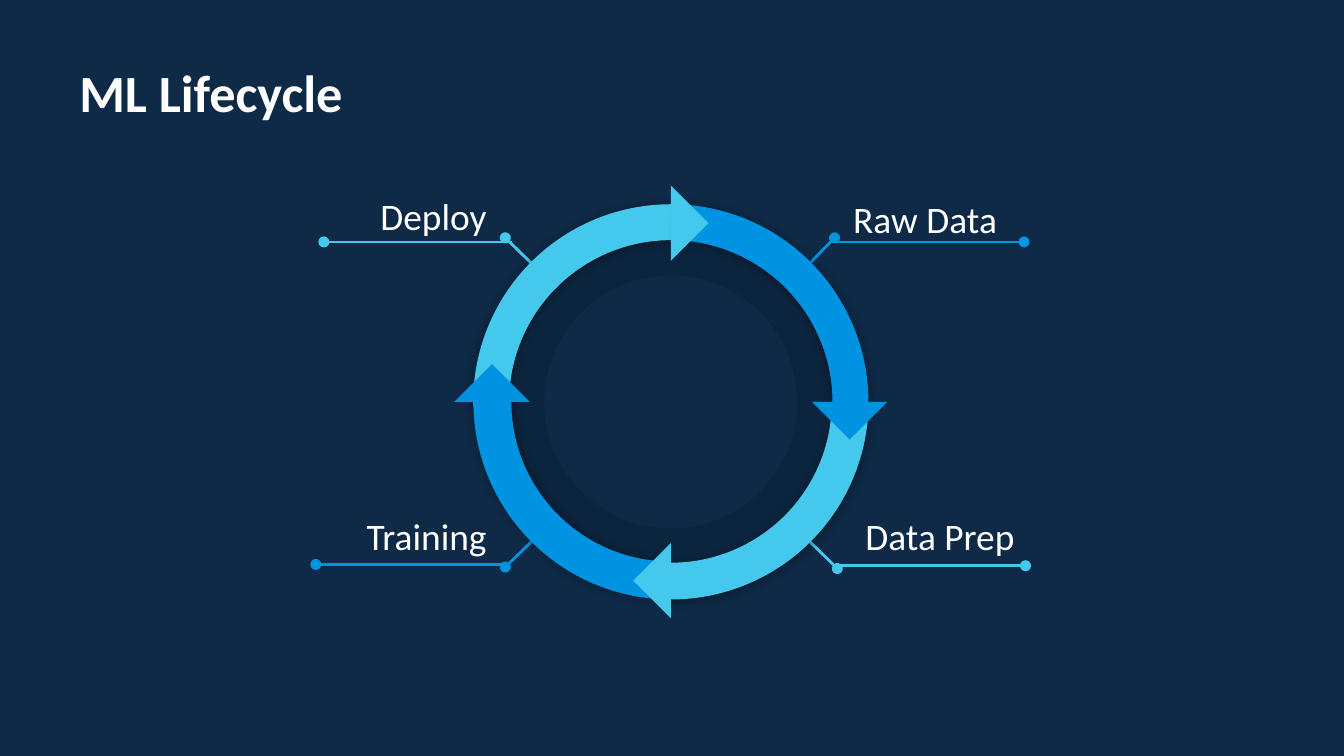
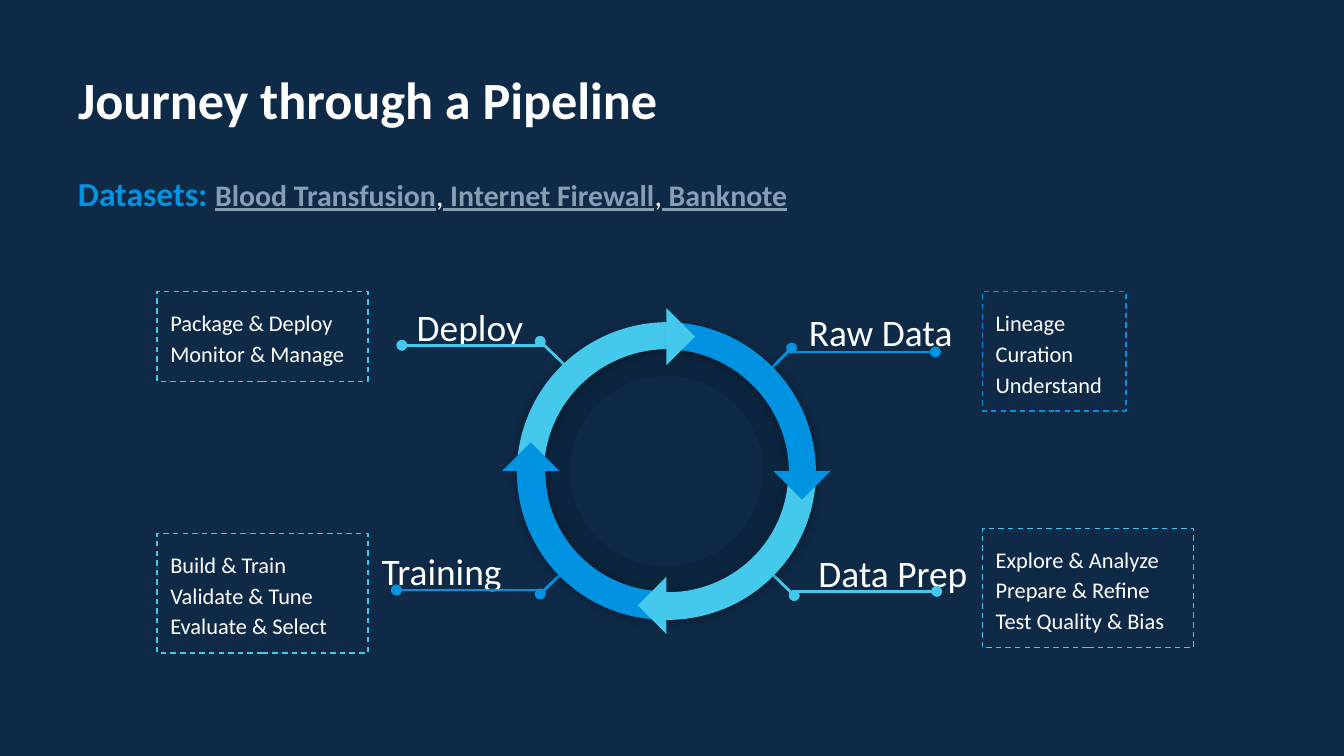
from collections import namedtuple

from lxml import etree
from pptx import Presentation
from pptx.dml.color import RGBColor
from pptx.enum import dml, shapes, text
from pptx.oxml import ns
from pptx.util import Pt

NAVY = RGBColor(0x0E, 0x2A, 0x47)
WHITE = RGBColor(0xFF, 0xFF, 0xFF)
BLACK = RGBColor(0x00, 0x00, 0x00)
CYAN = RGBColor(0x44, 0xC8, 0xEB)
BLUE = RGBColor(0x00, 0x93, 0xE1)
GREY = RGBColor(0x86, 0x9F, 0xB2)

LEFT, RIGHT = text.PP_ALIGN.LEFT, text.PP_ALIGN.RIGHT
INSET = 7.2

STAGE_COLORS = {"Deploy": CYAN, "Training": BLUE, "Data Prep": CYAN, "Raw Data": BLUE}

# rotation, mirrored, start, end and thickness adjustments, shadow direction
# (start and end: 0.6 per degree)
ARCS = {
    "Deploy": (330, True, 143.49, 198.72, 0.091, 90),
    "Raw Data": (30, False, 145.46, 199.02, 0.091, 90),
    "Training": (150, False, 180.42, 17.99, 0.096, 0),
    "Data Prep": (210, True, 179.67, 15.3, 0.093, 90),
}

# rotation, then direction from the centre of the cycle
ARROWHEADS = {
    "Training": (135, -1, 0),
    "Raw Data": (315, 1, 0),
    "Data Prep": (45, 0, 1),
    "Deploy": (225, 0, -1),
}

# leader: dot and ring end; label: box; rule: outer x, inner x, y; drop: extra top inset
Callout = namedtuple("Callout", "stage leader label rule align drop", defaults=(LEFT, 0))

LIFECYCLE_CALLOUTS = [
    Callout("Deploy", (270.7, 127.4, 298.1, 154.1), (149.8, 92.9, 118, 52.6),
            (173.5, 274.3, 129.6), RIGHT),
    Callout("Training", (270.7, 303.8, 298.1, 277.2), (149.8, 247, 118, 52.6),
            (169.2, 270, 302.4), RIGHT, 17),
    Callout("Data Prep", (448.6, 304.6, 420.5, 277.2), (456.5, 247, 118, 52.6),
            (549.4, 448.6, 303.1), LEFT, 17),
    Callout("Raw Data", (447.1, 127.4, 421.2, 154.1), (450, 94.3, 118, 52.6),
            (548.6, 447.8, 129.6)),
]

PIPELINE_CALLOUTS = [
    Callout("Deploy", (289.4, 182.9, 310.3, 203), (197.3, 151.9, 90, 39.6),
            (215.3, 292, 185), RIGHT),
    Callout("Training", (289.4, 318.2, 310.3, 298.1), (197.3, 283, 90, 39.6),
            (212.4, 288.7, 316.1)),
    Callout("Data Prep", (425.5, 319, 403.9, 298.1), (431.3, 283.7, 145.4, 39.6),
            (501.8, 425.5, 316.8)),
    Callout("Raw Data", (424.1, 186.5, 403.9, 206.6), (426.2, 154.8, 123.1, 39.6),
            (501.1, 424.8, 188.6)),
]

STEP_BOXES = [
    (BLUE, (526.3, 156.2, 77, 64), ["Lineage", "Curation", "Understand"]),
    (CYAN, (526.3, 283, 113, 64),
     ["Explore & Analyze", "Prepare & Refine", "Test Quality & Bias"]),
    (CYAN, (84.2, 285.8, 113, 64),
     ["Build & Train", "Validate & Tune", "Evaluate & Select"]),
    (CYAN, (84.2, 156.2, 113, 48.2), ["Package & Deploy", "Monitor & Manage"]),
]


def add_xml(parent, tag, **attributes):
    return etree.SubElement(parent, ns.qn(tag), {k: str(v) for k, v in attributes.items()})


def points(values):
    return [Pt(value) for value in values]


class Deck:
    """The shared style and the slide being built."""

    def __init__(self):
        self.prs = Presentation()
        self.prs.slide_width, self.prs.slide_height = Pt(720), Pt(405)
        background = self.prs.slide_master.background.fill
        background.solid()
        background.fore_color.rgb = NAVY
        self.slide = None

    # Text
    def run(self, paragraph, words, size, color=WHITE, **extra):
        run = paragraph.add_run()
        run.text = words
        run.font.color.rgb = color
        style = {"name": "Calibri", "size": Pt(size), **extra}
        for key, value in style.items():
            setattr(run.font, key, value)

    def frame(self, shape, anchor=text.MSO_ANCHOR.TOP, drop=0, grow=False):
        frame = shape.text_frame
        fit = text.MSO_AUTO_SIZE
        style = {
            "word_wrap": True,
            "vertical_anchor": anchor,
            "auto_size": fit.SHAPE_TO_FIT_TEXT if grow else fit.NONE,
            "margin_left": Pt(INSET),
            "margin_right": Pt(INSET),
            "margin_top": Pt(INSET + drop),
            "margin_bottom": Pt(INSET),
        }
        for key, value in style.items():
            setattr(frame, key, value)
        return frame

    def paragraph(self, paragraph, **style):
        for key, value in {"alignment": LEFT, "line_spacing": 1.15, **style}.items():
            setattr(paragraph, key, value)
        return paragraph

    def titled_slide(self, words, *box):
        self.slide = self.prs.slides.add_slide(self.prs.slide_layouts[5])
        title = self.slide.shapes.title
        title.left, title.top, title.width, title.height = points(box)
        line = self.paragraph(self.frame(title, grow=True).paragraphs[0], line_spacing=1.0)
        self.run(line, words, 28, bold=True)

    def textbox(self, box, drop=0, grow=False, **style):
        shape = self.slide.shapes.add_textbox(*points(box))
        return self.paragraph(self.frame(shape, drop=drop, grow=grow).paragraphs[0], **style)

    # Shapes and lines
    def shape(self, kind, center, size, color=None, rotation=0):
        (cx, cy), (width, height) = center, size
        shape = self.slide.shapes.add_shape(
            kind, *points((cx - width / 2, cy - height / 2, width, height)))
        shape.shadow.inherit = False
        shape.rotation = rotation
        shape.line.fill.background()
        if color is None:
            shape.fill.background()
        else:
            shape.fill.solid()
            shape.fill.fore_color.rgb = color
        return shape

    def dotted_line(self, ends, color):
        line = self.slide.shapes.add_connector(shapes.MSO_CONNECTOR.STRAIGHT, *points(ends))
        line.line.color.rgb = color
        line.line.width = Pt(1.5)
        add_xml(line.line._get_or_add_ln(), "a:headEnd", type="oval")
        add_xml(line._element.spPr, "a:effectLst")

    def arc(self, stage, center, size):
        rotation, mirrored, start, end, thickness, shadow = ARCS[stage]
        arc = self.shape(shapes.MSO_SHAPE.BLOCK_ARC, center, size,
                         STAGE_COLORS[stage], rotation)
        for index, value in enumerate((start, end, thickness)):
            arc.adjustments[index] = value
        properties = arc._element.spPr
        if mirrored:
            properties.find(ns.qn("a:xfrm")).set("flipH", "1")
        outer = add_xml(properties.find(ns.qn("a:effectLst")), "a:outerShdw",
                        blurRad=Pt(5.6), dist=Pt(0.8), dir=shadow * 60000,
                        algn="ctr", rotWithShape=0)
        add_xml(add_xml(outer, "a:srgbClr", val=BLACK), "a:alpha", val=40000)

    def cycle(self, center, size, callouts):
        width, height = size
        cx, cy = center

        # Faint inner ring
        ring = self.shape(shapes.MSO_SHAPE.DONUT, center,
                          (width * 0.945, height * 0.945), BLACK)
        ring.adjustments[0] = 0.161
        tint = ring._element.spPr.find(ns.qn("a:solidFill"))[0]
        add_xml(tint, "a:alpha", val=11000)

        # Leaders and labels
        for callout in callouts:
            self.dotted_line(callout.leader, STAGE_COLORS[callout.stage])
            label = self.textbox(callout.label, callout.drop, alignment=callout.align)
            self.run(label, callout.stage, 20)

        # Arcs and their arrowheads
        for stage in ARCS:
            self.arc(stage, center, size)
        head = width * 0.135
        for stage, (rotation, dx, dy) in ARROWHEADS.items():
            spot = (cx + dx * width * 0.4525, cy + dy * height * 0.4525)
            self.shape(shapes.MSO_SHAPE.RIGHT_TRIANGLE, spot, (head, head),
                       STAGE_COLORS[stage], rotation)

        # Rules under the labels
        for callout in callouts:
            outer, inner, y = callout.rule
            self.dotted_line((outer, y, inner, y), STAGE_COLORS[callout.stage])

    def step_box(self, color, box, steps):
        left, top, width, height = box
        shape = self.shape(shapes.MSO_SHAPE.RECTANGLE,
                           (left + width / 2, top + height / 2), (width, height))
        shape.line.color.rgb = color
        shape.line.width = Pt(0.75)
        shape.line.dash_style = dml.MSO_LINE.DASH
        frame = self.frame(shape, text.MSO_ANCHOR.MIDDLE)
        for index, step in enumerate(steps):
            line = frame.add_paragraph() if index else frame.paragraphs[0]
            self.run(self.paragraph(line), step, 12)


def main():
    deck = Deck()

    # Slide 1: lifecycle
    deck.titled_slide("ML Lifecycle", 35.3, 25.2, 635, 48.2)
    deck.cycle((359.4, 215.3), (211.7, 211.7), LIFECYCLE_CALLOUTS)

    # Slide 2: pipeline with datasets and steps
    deck.titled_slide("Journey through a Pipeline", 34.6, 28.8, 447, 48.2)
    datasets = deck.textbox((34.6, 82.1, 506, 36), grow=True,
                            space_before=Pt(12), space_after=Pt(18))
    deck.run(datasets, "Datasets: ", 18, BLUE, bold=True)
    for index, dataset in enumerate(["Blood Transfusion", "Internet Firewall", "Banknote"]):
        if index:
            deck.run(datasets, ",", 16)
            deck.run(datasets, " ", 16, GREY, underline=True)
        deck.run(datasets, dataset, 16, GREY, bold=True, underline=True)
    deck.cycle((357, 252.3), (160.6, 159.1), PIPELINE_CALLOUTS)
    for color, box, steps in STEP_BOXES:
        deck.step_box(color, box, steps)

    deck.prs.save("out.pptx")


if __name__ == "__main__":
    main()
